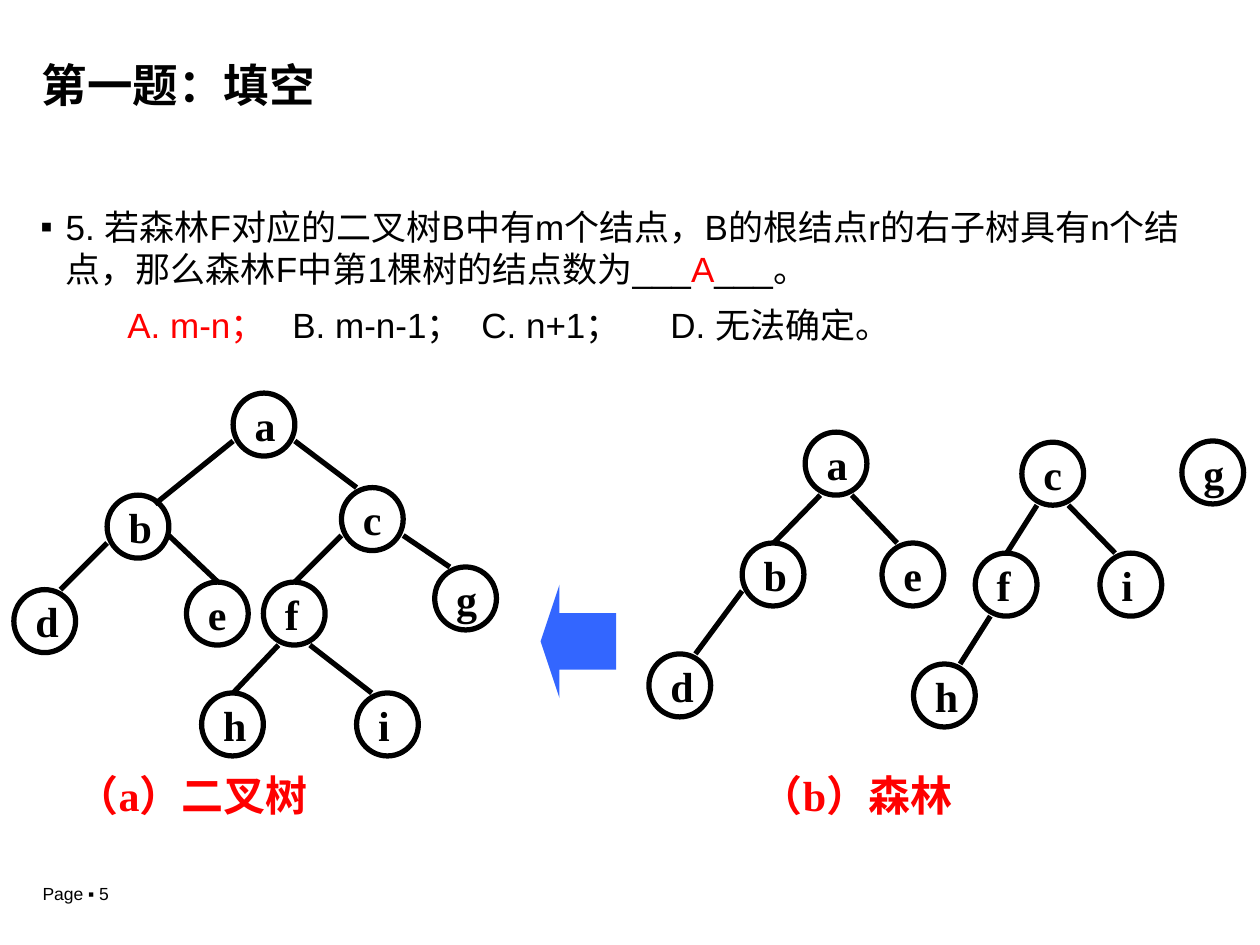
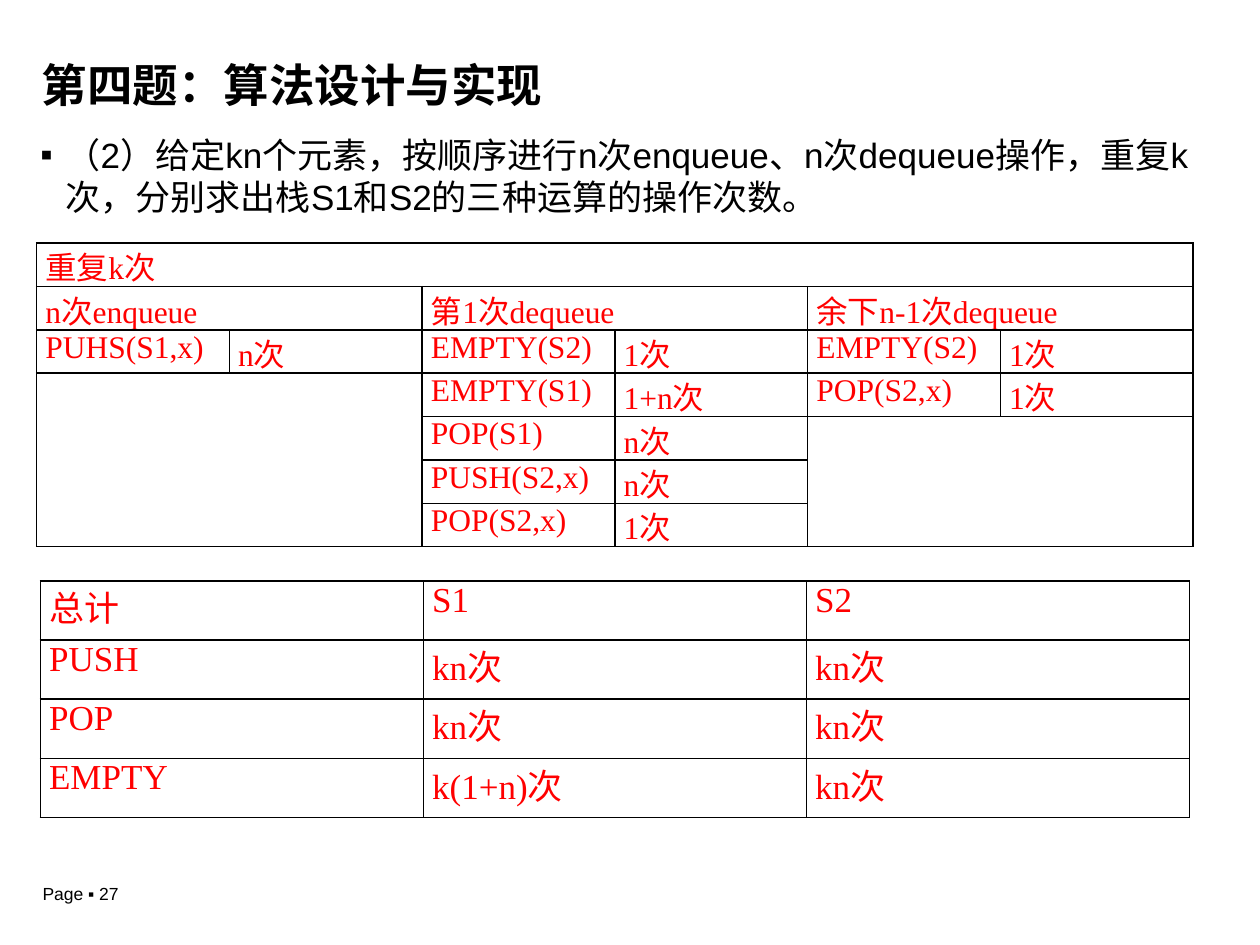
"""Build two data-structure exercise slides: a forest question and a queue count."""
from lxml.etree import SubElement
from pptx import Presentation
from pptx.dml.color import RGBColor
from pptx.enum.shapes import MSO_CONNECTOR, MSO_SHAPE
from pptx.enum.text import MSO_ANCHOR, MSO_AUTO_SIZE, PP_ALIGN
from pptx.oxml.ns import qn
from pptx.util import Inches, Pt

BLACK = RGBColor(0x00, 0x00, 0x00)
WHITE = RGBColor(0xFF, 0xFF, 0xFF)
RED = RGBColor(0xFF, 0x00, 0x00)
BLUE = RGBColor(0x33, 0x66, 0xFF)
SANS, SERIF = "Arial", "Times New Roman"
NODE_W, NODE_H = 0.49, 0.5
SIDE, BOTTOM = 0.38, 0.5

FOREST_TITLE = "第一题：填空"
FOREST_QUESTION = [
    ("5. 若森林F对应的二叉树B中有m个结点，B的根结点r的右子树具有n个结点，"
     "那么森林F中第1棵树的结点数为___", BLACK),
    ("A", RED),
    ("___。", BLACK),
]
OPTIONS = [("A. m-n；", RED), ("\tB. m-n-1；", BLACK),
           ("\tC. n+1；", BLACK), ("\tD. 无法确定。", BLACK)]
OPTION_STARTS = (0.69, 2.08, 3.75, 5.18)

# Each edge: parent, child, drop below the parent's top, x and y inside the child.
BINARY_TREE = {
    "caption": ("（a）二叉树", 0.51),
    "nodes": {"a": (1.85, 3.12), "b": (0.85, 3.93), "d": (0.11, 4.68),
              "e": (1.48, 4.62), "c": (2.71, 3.87), "f": (2.09, 4.62),
              "g": (3.45, 4.5), "h": (1.6, 5.5), "i": (2.83, 5.5)},
    "edges": [("a", "b", SIDE, 0.38, 0.07), ("a", "c", SIDE, 0.12, 0),
              ("b", "d", SIDE, 0.37, 0), ("b", "e", 0.32, 0.25, 0),
              ("c", "f", SIDE, 0.25, 0), ("c", "g", SIDE, 0.12, 0),
              ("f", "h", BOTTOM, 0.25, 0), ("f", "i", BOTTOM, 0.12, 0)],
}
FOREST = {
    "caption": ("（b）森林", 5.94),
    "nodes": {"a": (6.39, 3.43), "b": (5.89, 4.31), "d": (5.15, 5.19),
              "e": (7, 4.31), "c": (8.11, 3.51), "f": (7.74, 4.39),
              "g": (9.38, 3.5), "h": (7.25, 5.27), "i": (8.73, 4.39)},
    "edges": [("a", "b", BOTTOM, 0.25, 0), ("a", "e", BOTTOM, 0.12, 0),
              ("b", "d", SIDE, 0.37, 0), ("c", "f", BOTTOM, 0.25, 0),
              ("c", "i", BOTTOM, 0.12, 0), ("f", "h", BOTTOM, 0.37, 0)],
}

QUEUE_TITLE = "第四题：算法设计与实现"
QUEUE_QUESTION = [
    ("（2）给定kn个元素，按顺序进行n次enqueue、n次dequeue操作，重复k次，"
     "分别求出栈S1和S2的三种运算的操作次数。", BLACK),
]
STEPS = [
    ["重复k次", "", "", "", "", ""],
    ["n次enqueue", "", "第1次dequeue", "", "余下n-1次dequeue", ""],
    ["PUHS(S1,x)", "n次", "EMPTY(S2)", "1次", "EMPTY(S2)", "1次"],
    ["", "", "EMPTY(S1)", "1+n次", "POP(S2,x)", "1次"],
    ["", "", "POP(S1)", "n次", "", ""],
    ["", "", "PUSH(S2,x)", "n次", "", ""],
    ["", "", "POP(S2,x)", "1次", "", ""],
]
STEP_MERGES = [((0, 0), (0, 5)), ((1, 0), (1, 1)), ((1, 2), (1, 3)),
               ((1, 4), (1, 5)), ((3, 0), (6, 1)), ((4, 4), (6, 5))]
TOTALS = [
    ["总计", "S1", "S2"],
    ["PUSH", "kn次", "kn次"],
    ["POP", "kn次", "kn次"],
    ["EMPTY", "k(1+n)次", "kn次"],
]


def add_run(paragraph, words, size, color=BLACK, font=SANS, bold=False):
    """Append one formatted run."""
    run = paragraph.add_run()
    run.text = words
    run.font.size, run.font.name, run.font.bold = Pt(size), font, bold
    run.font.color.rgb = color


def add_box(slide, left, top, width, height):
    """Add a wrapping text box and return its frame."""
    box = slide.shapes.add_textbox(*map(Inches, (left, top, width, height)))
    box.text_frame.word_wrap = True
    return box.text_frame


def set_insets(target, side, edge):
    """Set the left/right and top/bottom margins of a frame or cell."""
    target.margin_left = target.margin_right = Inches(side)
    target.margin_top = target.margin_bottom = Inches(edge)


def start_slide(deck, heading, page):
    """Add a slide with the shared title and page footer."""
    slide = deck.slides.add_slide(deck.slide_layouts[5])
    title = slide.shapes.title
    title.left, title.top, title.width, title.height = map(
        Inches, (0.33, 0.45, 9.32, 0.71))
    frame = title.text_frame
    frame.auto_size, frame.vertical_anchor = MSO_AUTO_SIZE.NONE, MSO_ANCHOR.TOP
    set_insets(frame, 0, 0.05)
    paragraph = frame.paragraphs[0]
    paragraph.alignment, paragraph.line_spacing = PP_ALIGN.LEFT, 0.9
    add_run(paragraph, heading, 26, bold=True)
    footer = add_box(slide, 0.24, 6.96, 1.47, 0.27)
    add_run(footer.paragraphs[0], f"Page ▪ {page}", 10)
    return slide


def add_question(slide, top, pieces):
    """Add the bulleted question and return its frame."""
    frame = add_box(slide, 0.32, top, 9.32, 4.72)
    set_insets(frame, 0, 0)
    paragraph = frame.paragraphs[0]
    paragraph.space_after = Pt(8)
    properties = paragraph._p.get_or_add_pPr()
    properties.set("marL", str(Inches(0.2)))
    properties.set("indent", str(Inches(-0.2)))
    SubElement(properties, qn("a:buFont"), typeface=SANS)
    SubElement(properties, qn("a:buChar"), char="▪")
    for words, color in pieces:
        add_run(paragraph, words, 20, color)
    return frame


def add_options(frame):
    """Add the answer options on tab stops."""
    paragraph = frame.add_paragraph()
    first, *stops = OPTION_STARTS
    properties = paragraph._p.get_or_add_pPr()
    properties.set("marL", "0")
    properties.set("indent", str(Inches(first)))
    tabs = SubElement(properties, qn("a:tabLst"))
    for stop in stops:
        SubElement(tabs, qn("a:tab"), pos=str(Inches(stop)), algn="l")
    for words, color in OPTIONS:
        add_run(paragraph, words, 20, color)


def add_node(slide, letter, left, top):
    """Draw one labelled tree node."""
    node = slide.shapes.add_shape(
        MSO_SHAPE.OVAL, *map(Inches, (left, top, NODE_W, NODE_H)))
    node.shadow.inherit = False
    node.fill.solid()
    node.fill.fore_color.rgb = WHITE
    node.line.color.rgb, node.line.width = BLACK, Pt(3)
    frame = node.text_frame
    frame.word_wrap, frame.vertical_anchor = False, MSO_ANCHOR.MIDDLE
    frame.paragraphs[0].alignment = PP_ALIGN.LEFT
    add_run(frame.paragraphs[0], letter, 24, font=SERIF, bold=True)


def add_graph(slide, graph):
    """Draw the nodes, edges and caption of a tree or forest."""
    nodes = graph["nodes"]
    for letter, corner in nodes.items():
        add_node(slide, letter, *corner)
    for parent, child, drop, dx, dy in graph["edges"]:
        (px, py), (cx, cy) = nodes[parent], nodes[child]
        inset = 0.12 if drop == BOTTOM else 0
        start_x = px + inset if cx < px else px + NODE_W - inset
        edge = slide.shapes.add_connector(
            MSO_CONNECTOR.STRAIGHT,
            *map(Inches, (start_x, py + drop, cx + dx, cy + dy)))
        edge.line.color.rgb, edge.line.width = BLACK, Pt(3)
        SubElement(edge._element.spPr, qn("a:effectLst"))
    words, left = graph["caption"]
    caption = add_box(slide, left, 6.06, 3.54, 0.53)
    add_run(caption.paragraphs[0], words, 24, RED, SERIF, True)


def add_arrow(slide):
    """Draw the arrow from the forest to the binary tree."""
    arrow = slide.shapes.add_shape(
        MSO_SHAPE.RIGHT_ARROW, *map(Inches, (4.29, 4.64, 0.6, 0.9)))
    arrow.rotation = 180
    arrow.adjustments[0], arrow.adjustments[1] = 0.5, 0.25
    arrow.shadow.inherit = False
    arrow.fill.solid()
    arrow.fill.fore_color.rgb = BLUE
    arrow.line.fill.background()


def add_count_table(slide, rows, area, size, merges=()):
    """Add a ruled table of red serif text."""
    table = slide.shapes.add_table(
        len(rows), len(rows[0]), *map(Inches, area)).table
    table.first_row = table.horz_banding = False
    for r, row in enumerate(rows):
        for c, words in enumerate(row):
            cell = table.cell(r, c)
            set_insets(cell, 0.07, 0)
            for side in ("lnL", "lnR", "lnT", "lnB"):
                border = SubElement(cell._tc.get_or_add_tcPr(),
                                    qn(f"a:{side}"), w=str(Pt(1)))
                fill = SubElement(border, qn("a:solidFill"))
                SubElement(fill, qn("a:srgbClr"), val=str(BLACK))
            cell.fill.background()
            if words:
                paragraph = cell.text_frame.paragraphs[0]
                paragraph.alignment = PP_ALIGN.JUSTIFY
                add_run(paragraph, words, size, RED, SERIF)
    for first, last in merges:
        table.cell(*first).merge(table.cell(*last))


def main():
    """Build and save the deck."""
    deck = Presentation()
    deck.slide_width, deck.slide_height = Inches(10), Inches(7.5)

    forest_slide = start_slide(deck, FOREST_TITLE, 5)
    add_options(add_question(forest_slide, 1.63, FOREST_QUESTION))
    add_graph(forest_slide, BINARY_TREE)
    add_graph(forest_slide, FOREST)
    add_arrow(forest_slide)

    queue_slide = start_slide(deck, QUEUE_TITLE, 27)
    add_question(queue_slide, 1.06, QUEUE_QUESTION)
    add_count_table(queue_slide, STEPS, (0.29, 1.93, 9.18, 2.41), 18, STEP_MERGES)
    add_count_table(queue_slide, TOTALS, (0.32, 4.61, 9.12, 1.88), 20)

    deck.save("out.pptx")


if __name__ == "__main__":
    main()
